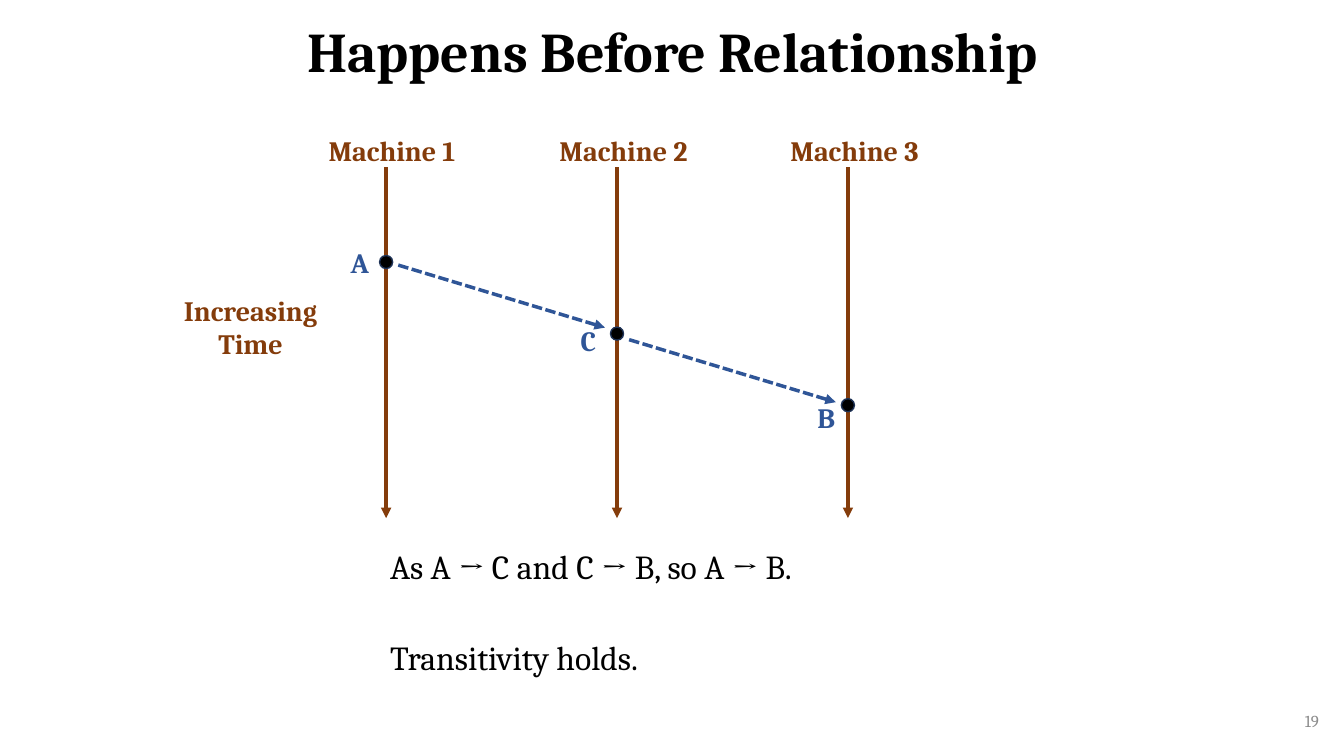
from lxml import etree
from pptx import Presentation
from pptx.dml.color import RGBColor
from pptx.enum.dml import MSO_LINE
from pptx.enum.shapes import MSO_CONNECTOR, MSO_SHAPE
from pptx.enum.text import MSO_ANCHOR, PP_ALIGN
from pptx.oxml.ns import qn
from pptx.util import Inches, Pt

LEFT, CENTER, RIGHT = PP_ALIGN.LEFT, PP_ALIGN.CENTER, PP_ALIGN.RIGHT
TOP, MIDDLE = MSO_ANCHOR.TOP, MSO_ANCHOR.MIDDLE
STRAIGHT, OVAL = MSO_CONNECTOR.STRAIGHT, MSO_SHAPE.OVAL
DASH = MSO_LINE.SQUARE_DOT
FONT = "Cambria"
COLORS = {
    "text": "000000",
    "machine": "843C0B",
    "event": "2F5597",
    "dot_line": "1E3256",
    "number": "8C8C8C",
}
MACHINES = ["Machine 1", "Machine 2", "Machine 3"]
EVENTS = [("A", -0.45, -0.21), ("C", -0.46, -0.15), ("B", -0.4, -0.1)]


def color(name):
    """Return the named colour."""
    return RGBColor.from_string(COLORS[name])


def add_text(slide, box, text, size, color_name, bold=False, align=LEFT, anchor=TOP):
    """Add a text box with evenly formatted paragraphs and return its frame."""
    frame = slide.shapes.add_textbox(*map(Inches, box)).text_frame
    frame.word_wrap = True
    frame.vertical_anchor = anchor
    frame.text = text
    for paragraph in frame.paragraphs:
        paragraph.alignment = align
        for run in paragraph.runs:
            run.font.name = FONT
            run.font.size = Pt(size)
            run.font.bold = bold
            run.font.color.rgb = color(color_name)
    return frame


def add_arrow(slide, start, end, color_name, dash=None):
    """Draw a line with a triangular head at its end."""
    points = map(Inches, (*start, *end))
    arrow = slide.shapes.add_connector(STRAIGHT, *points)
    arrow.line.color.rgb = color(color_name)
    arrow.line.width = Pt(2.5)
    if dash:
        arrow.line.dash_style = dash
    etree.SubElement(arrow.line._get_or_add_ln(), qn("a:tailEnd"), type="triangle")
    etree.SubElement(arrow._element.spPr, qn("a:effectLst"))


def add_event(slide, x, y, name, label_dx, label_dy):
    """Mark an event with a dot centred at x, y and a letter beside it."""
    size = 0.13
    box = (x - size / 2, y - size / 2, size, size)
    dot = slide.shapes.add_shape(OVAL, *map(Inches, box))
    dot.shadow.inherit = False
    dot.fill.solid()
    dot.fill.fore_color.rgb = color("text")
    dot.line.color.rgb = color("dot_line")
    dot.line.width = Pt(1)
    add_text(slide, (x + label_dx, y + label_dy, 0.4, 0.44), name, 20, "event", True)


def add_timelines(slide, left, top, width, height):
    """Draw the machine timelines, their events and the messages between them."""
    label_width, label_height, line_top = 1.52, 0.44, 0.38
    step_x = (width - label_width) / (len(MACHINES) - 1)
    first_y, step_y = top + 1.32, 0.71
    for index, (machine, event) in enumerate(zip(MACHINES, EVENTS)):
        label_left = left + index * step_x
        x, y = label_left + 0.67, first_y + index * step_y
        add_arrow(slide, (x, top + line_top), (x, top + height), "machine")
        label_box = (label_left, top, label_width, label_height)
        add_text(slide, label_box, machine, 20, "machine", True)
        add_event(slide, x, y, *event)
        if index < len(MACHINES) - 1:
            start = (x + 0.12, y + 0.03 + index * 0.03)
            add_arrow(slide, start, (start[0] + 2.05, start[1] + 0.62), "event", DASH)


def add_conclusion(slide, box):
    """Write the two concluding statements."""
    text = "As A → C and C → B, so A → B.\nTransitivity holds."
    frame = add_text(slide, box, text, 24, "text")
    for paragraph in frame.paragraphs:
        paragraph.line_spacing = 0.9
    frame.paragraphs[1].space_before = Pt(39)


def build_slide(presentation):
    """Build the slide from its regions."""
    slide = presentation.slides.add_slide(presentation.slide_layouts[6])
    title = add_text(slide, (0.92, 0, 11.5, 1.08), "Happens Before Relationship",
                     40, "text", True, CENTER, MIDDLE)
    title.paragraphs[0].line_spacing = 0.9
    add_conclusion(slide, (3.77, 5.41, 5.47, 1.74))
    add_text(slide, (10.18, 6.95, 3, 0.4), "19", 12, "number",
             align=RIGHT, anchor=MIDDLE)
    add_text(slide, (1.69, 2.86, 1.59, 0.77), "Increasing\nTime", 20, "machine",
             True, CENTER)
    add_timelines(slide, 3.16, 1.28, 6.1, 3.86)


def main():
    """Create and save the presentation."""
    presentation = Presentation()
    presentation.slide_width = Inches(13.33)
    presentation.slide_height = Inches(7.5)
    build_slide(presentation)
    presentation.save("out.pptx")


if __name__ == "__main__":
    main()
